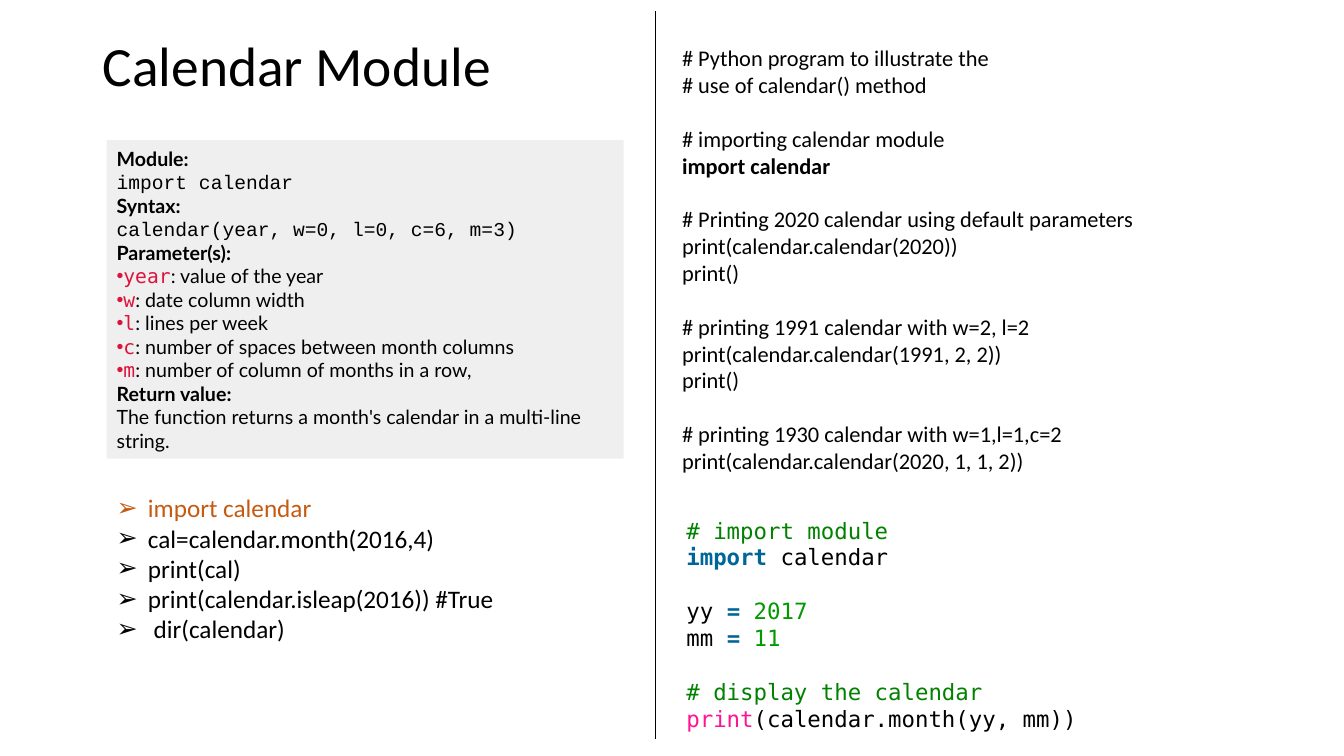
from dataclasses import dataclass

from lxml import etree
from pptx import Presentation
from pptx.dml.color import RGBColor
from pptx.enum.shapes import MSO_CONNECTOR, MSO_SHAPE
from pptx.enum.text import MSO_ANCHOR, PP_ALIGN
from pptx.oxml.ns import qn
from pptx.util import Cm, Pt

RECTANGLE = MSO_SHAPE.RECTANGLE
STRAIGHT = MSO_CONNECTOR.STRAIGHT
TOP, MIDDLE = MSO_ANCHOR.TOP, MSO_ANCHOR.MIDDLE
LEFT = PP_ALIGN.LEFT

COLORS = {
    "black": "000000", "white": "FFFFFF", "panel": "EFEFEF", "orange": "C55A11",
    "crimson": "DC143C", "comment": "008200", "keyword": "006699",
    "number": "009900", "builtin": "FF1493",
}
BODY, PANEL, TYPEWRITER, MONO = "Calibri", "Lato", "Courier New", "DejaVu Sans Mono"
BLANK_LINE = 19.2  # points, height of one line of 16-point code


@dataclass(frozen=True)
class Span:
    text: str
    font: str = BODY
    color: str = "black"
    bold: bool = False


@dataclass(frozen=True)
class Line:
    spans: tuple[Span, ...]
    bullet: str = ""
    hanging: float = 0  # cm
    before: float = 0  # points


@dataclass(frozen=True)
class Block:
    left: float  # lengths in cm
    top: float
    width: float
    height: float
    size: float  # points
    lines: list[Line]
    fill: str = ""
    anchor: MSO_ANCHOR = TOP
    inset: bool = True
    spacing: float = 1.0


def parameter(name: str, meaning: str) -> Line:
    return Line((Span(name, MONO, "crimson"), Span(f": {meaning}", PANEL)), bullet="•")


def heading(text: str) -> Line:
    return Line((Span(text, PANEL, bold=True),))


def typed(text: str) -> Line:
    return Line((Span(text, TYPEWRITER),))


def assignment(name: str, value: str, before: float = 0) -> Line:
    return Line((Span(f"{name} ", MONO), Span("= ", MONO, "keyword", True),
                 Span(value, MONO, "number")), before=before)


def groups(*sections: list[str]) -> list[Line]:
    """Code sections set apart by the height of one line."""
    return [
        Line((Span(text, bold=text.startswith("import")),),
             before=BLANK_LINE if section and not row else 0)
        for section, texts in enumerate(sections)
        for row, text in enumerate(texts)
    ]


TITLE = Block(2.34, 1.12, 29.21, 1.24, 39.6, [Line((Span("Calendar Module"),))],
              anchor=MIDDLE, spacing=0.9)

STEPS = Block(2.69, 12.29, 10.87, 4.11, 18, [
    Line((Span(text, color=color),), bullet="➢", hanging=0.79)
    for text, color in (
        ("import calendar", "orange"),
        ("cal=calendar.month(2016,4)", "black"),
        ("print(cal)", "black"),
        ("print(calendar.isleap(2016)) #True", "black"),
        (" dir(calendar)", "black"),
    )
])

PROGRAM = Block(16.94, 0.99, 12.8, 11.2, 16, groups(
    ["# Python program to illustrate the", "# use of calendar() method"],
    ["# importing calendar module", "import calendar"],
    ["# Printing 2020 calendar using default parameters",
     "print(calendar.calendar(2020))", "print()"],
    ["# printing 1991 calendar with w=2, l=2",
     "print(calendar.calendar(1991, 2, 2))", "print()"],
    ["# printing 1930 calendar with w=1,l=1,c=2",
     "print(calendar.calendar(2020, 1, 1, 2))"],
))

REFERENCE = Block(2.69, 3.53, 13.03, 8.03, 14, [
    heading("Module:"),
    typed("import calendar"),
    heading("Syntax:"),
    typed("calendar(year, w=0, l=0, c=6, m=3)"),
    heading("Parameter(s):"),
    parameter("year", "value of the year"),
    parameter("w", "date column width"),
    parameter("l", "lines per week"),
    parameter("c", "number of spaces between month columns"),
    parameter("m", "number of column of months in a row,"),
    heading("Return value:"),
    Line((Span("The function returns a month's calendar in a multi-line string.", PANEL),)),
], fill="panel", anchor=MIDDLE)

MONTH = Block(17.3, 13, 11.18, 5.46, 16, [
    Line((Span("# import module", MONO, "comment"),)),
    Line((Span("import ", MONO, "keyword", True), Span("calendar", MONO))),
    assignment("yy", "2017", BLANK_LINE),
    assignment("mm", "11"),
    Line((Span("# display the calendar", MONO, "comment"),), before=BLANK_LINE),
    Line((Span("print", MONO, "builtin"), Span("(calendar.month(yy, mm))", MONO))),
], fill="white", anchor=MIDDLE, inset=False)


def rgb(name: str) -> RGBColor:
    return RGBColor.from_string(COLORS[name])


def add_bullet(para, char: str, hanging: float) -> None:
    properties = para._p.get_or_add_pPr()
    properties.set("marL", str(Cm(hanging)))
    properties.set("indent", str(-Cm(hanging)))
    etree.SubElement(properties, qn("a:buFont")).set("typeface", "Arial")
    etree.SubElement(properties, qn("a:buChar")).set("char", char)


def write_line(para, line: Line, block: Block) -> None:
    para.alignment = LEFT
    para.line_spacing = block.spacing
    if line.before:
        para.space_before = Pt(line.before)
    if line.bullet:
        add_bullet(para, line.bullet, line.hanging)
    for span in line.spans:
        run = para.add_run()
        run.text = span.text
        run.font.name = span.font
        run.font.size = Pt(block.size)
        run.font.bold = span.bold
        run.font.color.rgb = rgb(span.color)


def draw_block(page, block: Block) -> None:
    place = (Cm(block.left), Cm(block.top), Cm(block.width), Cm(block.height))
    if block.fill:
        box = page.shapes.add_shape(RECTANGLE, *place)
        box.shadow.inherit = False
        box.fill.solid()
        box.fill.fore_color.rgb = rgb(block.fill)
        box.line.fill.background()
    else:
        box = page.shapes.add_textbox(*place)
    frame = box.text_frame
    frame.word_wrap = True
    frame.vertical_anchor = block.anchor
    if not block.inset:
        frame.margin_left = frame.margin_right = 0
        frame.margin_top = frame.margin_bottom = 0
    for row, line in enumerate(block.lines):
        write_line(frame.add_paragraph() if row else frame.paragraphs[0], line, block)


def draw_divider(page) -> None:
    divider = page.shapes.add_connector(STRAIGHT, Cm(16.51), Cm(0.28), Cm(16.51), Cm(18.62))
    divider.line.color.rgb = rgb("black")
    divider.line.width = Pt(0.5)
    etree.SubElement(divider._element.spPr, qn("a:effectLst"))


def main() -> None:
    deck = Presentation()
    deck.slide_width, deck.slide_height = Cm(33.87), Cm(19.05)
    page = deck.slides.add_slide(deck.slide_layouts[6])
    for block in (TITLE, STEPS, PROGRAM, REFERENCE, MONTH):
        draw_block(page, block)
    draw_divider(page)
    deck.save("out.pptx")


if __name__ == "__main__":
    main()
